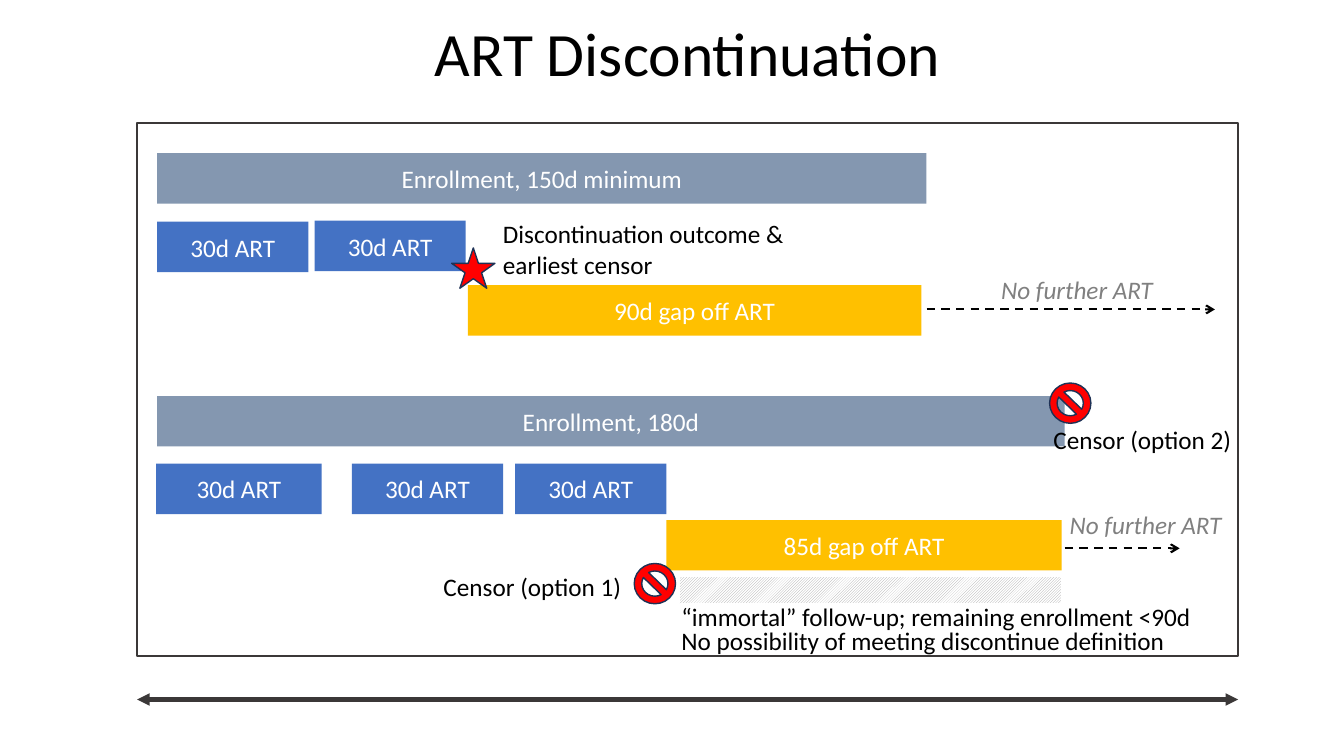
from collections import namedtuple

from lxml.etree import SubElement
from pptx import Presentation
from pptx.dml.color import RGBColor
from pptx.enum.dml import MSO_LINE, MSO_PATTERN
from pptx.enum.shapes import MSO_CONNECTOR, MSO_SHAPE
from pptx.enum.text import MSO_ANCHOR, MSO_AUTO_SIZE, PP_ALIGN
from pptx.oxml.ns import qn
from pptx.util import Pt

PX = 9144
FONT = "Calibri"
COLORS = {
    "frame": "3B3838", "enrollment": "8497B0", "art": "4472C4", "gap": "FFC000",
    "marker": "FF0000", "marker_edge": "1E3256", "hatch": "A5A5A5",
    "muted": "808080", "black": "000000", "white": "FFFFFF",
}
BAR_HEIGHT = 50
Box = namedtuple("Box", "left top width height")


def color(name):
    """Return the named palette colour."""
    return RGBColor.from_string(COLORS[name])


def within(box, left, top, width, height):
    """Return a box whose offsets are measured from the corner of another."""
    return Box(box.left + left, box.top + top, width, height)


def emu(box):
    """Turn a box in px into EMU lengths."""
    return [length * PX for length in box]


def style_text(frame, ink, size=18, align=PP_ALIGN.LEFT, italic=None):
    """Format every run of a text frame."""
    for paragraph in frame.paragraphs:
        paragraph.alignment = align
        for run in paragraph.runs:
            run.font.name = FONT
            run.font.size = Pt(size)
            run.font.italic = italic
            run.font.color.rgb = color(ink)


def add_figure(slide, preset, box, fill=None, edge=None, weight=1):
    """Add a flat preset shape with an optional fill and outline."""
    figure = slide.shapes.add_shape(preset, *emu(box))
    figure.shadow.inherit = False
    if fill:
        figure.fill.solid()
        figure.fill.fore_color.rgb = color(fill)
    else:
        figure.fill.background()
    if edge:
        figure.line.color.rgb = color(edge)
        figure.line.width = Pt(weight)
    else:
        figure.line.fill.background()
    return figure


def add_period(slide, box, fill, wording):
    """Add a labelled bar for one period of time."""
    period = add_figure(slide, MSO_SHAPE.RECTANGLE, box, fill)
    period.text_frame.text = wording
    period.text_frame.vertical_anchor = MSO_ANCHOR.MIDDLE
    style_text(period.text_frame, "white", align=PP_ALIGN.CENTER)


def add_note(slide, box, wording, ink="black", italic=None, wrap=False, spacing=None):
    """Add a free-standing note."""
    frame = slide.shapes.add_textbox(*emu(box)).text_frame
    frame.text = wording
    frame.word_wrap = wrap
    frame.auto_size = MSO_AUTO_SIZE.SHAPE_TO_FIT_TEXT
    style_text(frame, ink, italic=italic)
    for paragraph in frame.paragraphs:
        paragraph.line_spacing = spacing


def add_marker(slide, preset, box):
    """Add a red event marker."""
    add_figure(slide, preset, box, "marker", "marker_edge")


def add_arrow(slide, left, right, y, ink, weight, ends, dash=None):
    """Add a horizontal arrow with the given line ends."""
    arrow = slide.shapes.add_connector(
        MSO_CONNECTOR.STRAIGHT, left * PX, y * PX, right * PX, y * PX)
    arrow.line.color.rgb = color(ink)
    arrow.line.width = Pt(weight)
    if dash:
        arrow.line.dash_style = dash
    outline = arrow.line._get_or_add_ln()
    for end, head in ends.items():
        SubElement(outline, qn(f"a:{end}"), type=head)
    SubElement(arrow._element.spPr, qn("a:effectLst"))


def add_no_further_art(slide, box, left, right, y, label):
    """Add the dashed arrow and its label after a gap."""
    add_arrow(slide, box.left + left, box.left + right, box.top + y,
              "black", 1.5, {"tailEnd": "arrow"}, MSO_LINE.DASH)
    add_note(slide, within(box, *label, 175, 40), "No further ART", "muted", True)


def add_heading(slide, box):
    """Fill the title placeholder."""
    heading = slide.shapes.title
    heading.left, heading.top, heading.width, heading.height = emu(box)
    heading.text_frame.text = "ART Discontinuation"
    heading.text_frame.auto_size = MSO_AUTO_SIZE.NONE
    heading.text_frame.vertical_anchor = MSO_ANCHOR.TOP
    style_text(heading.text_frame, "black", 44, PP_ALIGN.CENTER)


def add_timeline_frame(slide, box):
    """Add the frame and the time axis below it."""
    add_figure(slide, MSO_SHAPE.RECTANGLE, box, edge="frame", weight=1.5)
    add_arrow(slide, box.left, box.left + box.width, box.top + box.height + 43,
              "frame", 3, {"headEnd": "triangle", "tailEnd": "triangle"})


def add_discontinued_case(slide, box):
    """Add the case that meets the discontinuation outcome."""
    add_period(slide, within(box, 0, 0, 763, BAR_HEIGHT), "enrollment",
               "Enrollment, 150d minimum")
    add_period(slide, within(box, 308, 131, 450, BAR_HEIGHT), "gap", "90d gap off ART")
    for left, top in ((0, 68), (156, 67)):
        add_period(slide, within(box, left, top, 150, BAR_HEIGHT), "art", "30d ART")
    add_no_further_art(slide, box, 763, 1049, 155, (827, 115))
    add_note(slide, within(box, 333, 60, 318, 71),
             "Discontinuation outcome & earliest censor", wrap=True)
    add_marker(slide, MSO_SHAPE.STAR_5_POINT, within(box, 292, 94, 43, 40))


def add_censored_case(slide, box):
    """Add the case that is censored before the outcome is possible."""
    add_period(slide, within(box, 0, 0, 900, BAR_HEIGHT), "enrollment", "Enrollment, 180d")
    for left, width in ((-1, 164), (193, 150), (355, 150)):
        add_period(slide, within(box, left, 67, width, BAR_HEIGHT), "art", "30d ART")
    add_period(slide, within(box, 505, 123, 392, BAR_HEIGHT), "gap", "85d gap off ART")
    add_no_further_art(slide, box, 900, 1014, 151, (895, 107))
    censors = (((473, 166), (274, 169)), ((885, -13), (879, 23)))
    for option, (sign, label) in enumerate(censors, 1):
        add_marker(slide, MSO_SHAPE.NO_SYMBOL, within(box, *sign, 41, 40))
        add_note(slide, within(box, *label, 199, 40), f"Censor (option {option})")
    immortal = add_figure(slide, MSO_SHAPE.RECTANGLE, within(box, 518, 179, 379, 27),
                          edge="white")
    immortal.fill.patterned()
    immortal.fill.pattern = MSO_PATTERN.DARK_UPWARD_DIAGONAL
    immortal.fill.fore_color.rgb = color("hatch")
    immortal.fill.back_color.rgb = color("white")
    add_note(slide, within(box, 510, 204, 532, 59),
             "“immortal” follow-up; remaining enrollment <90d\n"
             "No possibility of meeting discontinue definition", spacing=0.8)


def main():
    """Build and save the slide."""
    deck = Presentation()
    deck.slide_width, deck.slide_height = 1333 * PX, 750 * PX
    slide = deck.slides.add_slide(deck.slide_layouts[5])
    add_heading(slide, Box(136, 10, 1092, 84))
    add_timeline_frame(slide, Box(136, 122, 1092, 529))
    add_discontinued_case(slide, Box(156, 152, 1049, 181))
    add_censored_case(slide, Box(156, 393, 1058, 263))
    deck.save("out.pptx")


if __name__ == "__main__":
    main()
